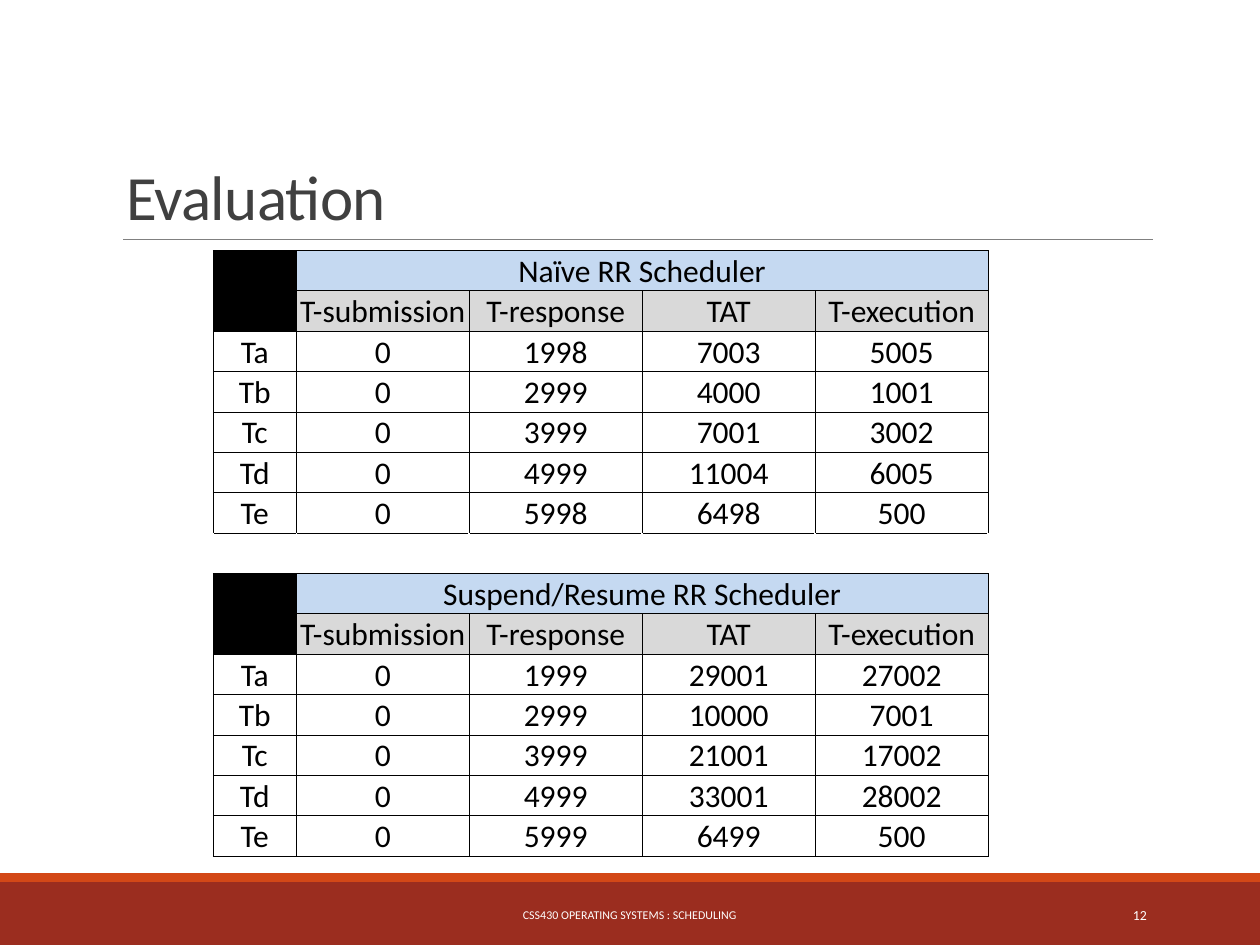
from lxml.etree import SubElement
from pptx import Presentation
from pptx.dml.color import RGBColor
from pptx.enum.shapes import MSO_CONNECTOR, MSO_SHAPE
from pptx.enum.text import MSO_ANCHOR as ANCHOR, PP_ALIGN as ALIGN
from pptx.oxml.ns import qn
from pptx.util import Pt

COLORS = {
    "title": "404040", "rule": "808080", "footer": "9B2D1F", "accent": "D34817",
    "black": "000000", "white": "FFFFFF", "heading": "C5D9F1", "labels": "D9D9D9",
}
FONT = "Calibri"


def color(name):
    return RGBColor.from_string(COLORS[name])


def style(paragraph, size, color_name, alignment):
    paragraph.alignment = alignment
    paragraph.font.name = FONT
    paragraph.font.size = Pt(size)
    paragraph.font.color.rgb = color(color_name)


presentation = Presentation()
presentation.slide_width, presentation.slide_height = Pt(720), Pt(540)
slide = presentation.slides.add_slide(presentation.slide_layouts[5])
shapes = slide.shapes

# Footer bands
for name, top, height in (("footer", 504, 36), ("accent", 499, 5)):
    band = shapes.add_shape(MSO_SHAPE.RECTANGLE, 0, Pt(top), Pt(720), Pt(height))
    band.shadow.inherit = False
    band.fill.solid()
    band.fill.fore_color.rgb = color(name)
    band.line.fill.background()

# Title and the rule below it
title = shapes.title
title.left, title.top, title.width, title.height = Pt(64.8), Pt(22.5), Pt(594), Pt(114.2)
title.text_frame.text = "Evaluation"
title.text_frame.vertical_anchor = ANCHOR.BOTTOM
paragraph = title.text_frame.paragraphs[0]
style(paragraph, 36, "title", ALIGN.LEFT)
paragraph.line_spacing = 0.85
paragraph.runs[0].font._element.set("spc", "-40")

rule = shapes.add_connector(MSO_CONNECTOR.STRAIGHT, Pt(70.5), Pt(136.8), Pt(658.8), Pt(136.8))
rule.line.color.rgb = color("rule")
rule.line.width = Pt(0.5)
SubElement(rule._element.spPr, qn("a:effectLst"))

# Footer text and slide number
for text, left, width, size, alignment in (
    ("CSS430 OPERATING SYSTEMS : SCHEDULING", 217.4, 285, 6.8, ALIGN.CENTER),
    ("12", 584.6, 77.8, 7.9, ALIGN.RIGHT),
):
    box = shapes.add_textbox(Pt(left), Pt(508.3), Pt(width), Pt(28.8))
    box.text_frame.word_wrap = True
    box.text_frame.vertical_anchor = ANCHOR.MIDDLE
    box.text_frame.text = text
    style(box.text_frame.paragraphs[0], size, "white", alignment)

# Table contents: two blocks with a spacer row between them
LABELS = ["", "T-submission", "T-response", "TAT", "T-execution"]
naive = [
    ["", "Naïve RR Scheduler", "", "", ""],
    LABELS,
    ["Ta", 0, 1998, 7003, 5005],
    ["Tb", 0, 2999, 4000, 1001],
    ["Tc", 0, 3999, 7001, 3002],
    ["Td", 0, 4999, 11004, 6005],
    ["Te", 0, 5998, 6498, 500],
]
suspend_resume = [
    ["", "Suspend/Resume RR Scheduler", "", "", ""],
    LABELS,
    ["Ta", 0, 1999, 29001, 27002],
    ["Tb", 0, 2999, 10000, 7001],
    ["Tc", 0, 3999, 21001, 17002],
    ["Td", 0, 4999, 33001, 28002],
    ["Te", 0, 5999, 6499, 500],
]
rows = naive + [[""] * 5] + suspend_resume
spacer = len(naive)
block_starts = (0, spacer + 1)

ROW_HEIGHT = 23.09
table = shapes.add_table(len(rows), 5, Pt(121.9), Pt(143.1), Pt(442.8),
                         Pt(ROW_HEIGHT * len(rows))).table
table.first_row = table.horz_banding = False
for column, width in zip(table.columns, [47.4] + [98.85] * 4):
    column.width = Pt(width)
for row in table.rows:
    row.height = Pt(ROW_HEIGHT)

# Cells
for row_index, values in enumerate(rows):
    for column_index, value in enumerate(values):
        cell = table.cell(row_index, column_index)
        cell.text = str(value)
        cell.vertical_anchor = ANCHOR.BOTTOM
        cell.margin_left = cell.margin_right = cell.margin_top = Pt(0.7)
        cell.margin_bottom = 0
        style(cell.text_frame.paragraphs[0], 18, "black", ALIGN.CENTER)

        edges = "TB" if row_index == spacer else "LRTB"
        for edge in edges:
            line = SubElement(cell._tc.get_or_add_tcPr(), qn(f"a:ln{edge}"), w=str(Pt(0.5)))
            fill = SubElement(line, qn("a:solidFill"))
            SubElement(fill, qn("a:srgbClr"), val=COLORS["black"])

        if row_index == spacer:
            cell.fill.background()
            continue
        block_row = row_index % (spacer + 1)
        if block_row < 2:
            fill_name = "black" if column_index == 0 else ("heading", "labels")[block_row]
        else:
            fill_name = "white"
        cell.fill.solid()
        cell.fill.fore_color.rgb = color(fill_name)

# Merged corner and heading of each block
for start in block_starts:
    table.cell(start, 0).merge(table.cell(start + 1, 0))
    table.cell(start, 1).merge(table.cell(start, 4))

presentation.save("out.pptx")
